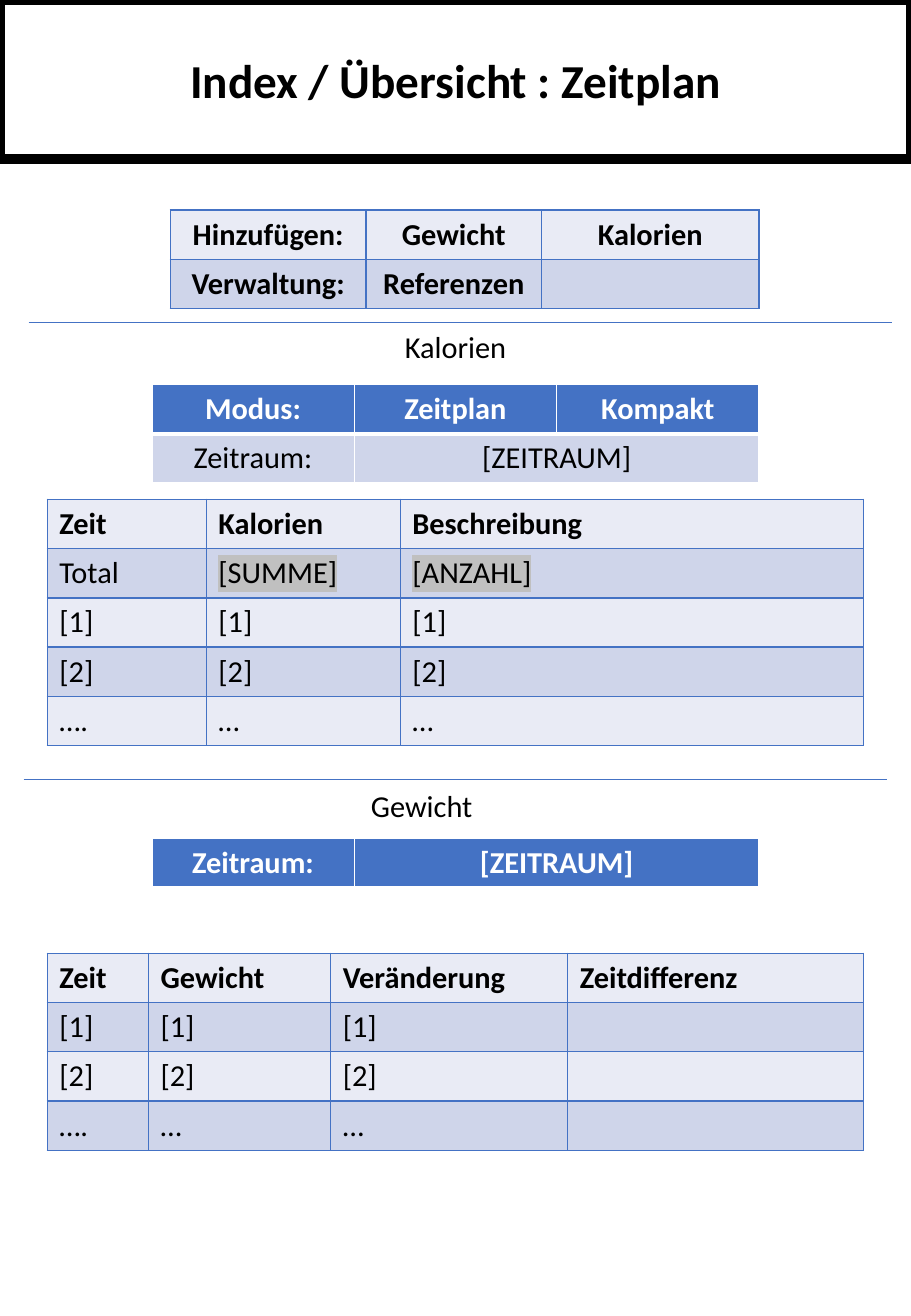
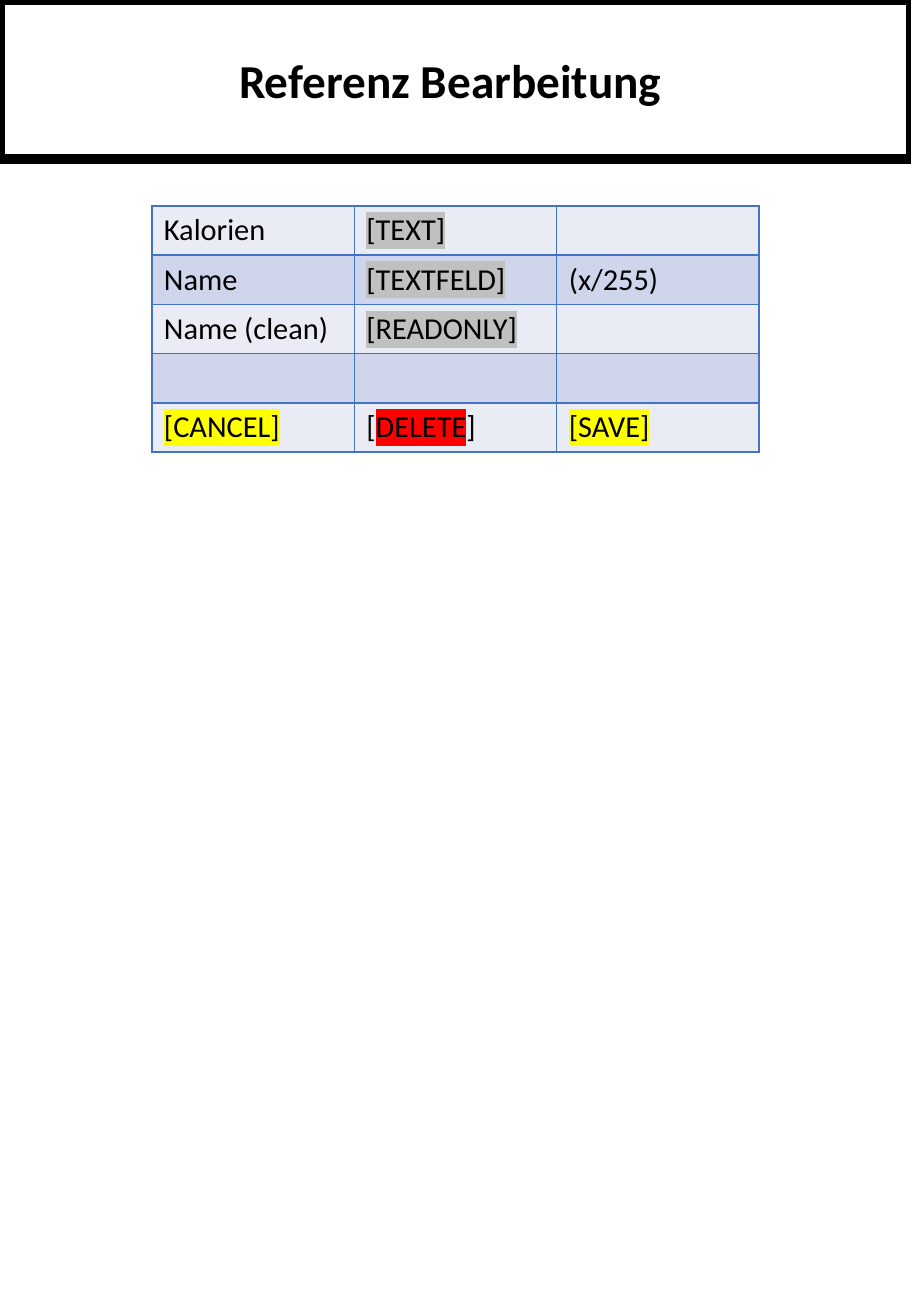
from lxml.etree import SubElement as Sub
from pptx import Presentation as Deck
from pptx.dml.color import RGBColor as RGB
from pptx.enum.shapes import MSO_CONNECTOR as Link, MSO_SHAPE as Shape
from pptx.enum.text import MSO_ANCHOR as Anchor, MSO_AUTO_SIZE as Fit, PP_ALIGN as Align
from pptx.oxml.ns import qn
from pptx.util import Pt

INK = {
    "black": "000000",
    "white": "FFFFFF",
    "blue": "4472C4",
    "light": "E9EBF5",
    "dark": "CFD5EA",
    "grey": "C0C0C0",
    "yellow": "FFFF00",
    "red": "FF0000",
}
WIDE, TALL = 540, 780
ROW = 29.2
THIRD = 120


class Page:
    font = "Calibri"
    size = 18

    def __init__(self, deck):
        self.deck = deck
        self.slide = None

    def start(self, title):
        self.slide = self.deck.slides.add_slide(self.deck.slide_layouts[6])
        band = self.slide.shapes.add_shape(Shape.RECTANGLE, 0, 0, Pt(WIDE), Pt(94.5))
        band.shadow.inherit = False
        band.fill.background()
        band.line.color.rgb = RGB.from_string(INK["black"])
        band.line.width = Pt(6)
        band.text_frame.vertical_anchor = Anchor.MIDDLE
        self.words(band.text_frame, title, True, size=28, bold=True)

    def words(self, frame, text, center, size=size, bold=False, ink="black"):
        para = frame.paragraphs[0]
        para.alignment = Align.CENTER if center else Align.LEFT
        parts = [(text, None)] if isinstance(text, str) else text
        for part, tint in parts:
            run = para.add_run()
            run.text = part
            run.font.size = Pt(size)
            run.font.bold = bold
            run.font.color.rgb = RGB.from_string(INK[ink])
            if tint:
                high = Sub(run._r.get_or_add_rPr(), qn("a:highlight"))
                Sub(high, qn("a:srgbClr"), val=INK[tint])
            run.font.name = self.font

    def label(self, text, left, top):
        box = self.slide.shapes.add_textbox(Pt(left), Pt(top), Pt(360), Pt(29))
        box.text_frame.word_wrap = True
        box.text_frame.auto_size = Fit.SHAPE_TO_FIT_TEXT
        self.words(box.text_frame, text, True)

    def rule(self, left, top):
        line = self.slide.shapes.add_connector(
            Link.STRAIGHT, Pt(left), Pt(top), Pt(left + 512), Pt(top))
        line.line.color.rgb = RGB.from_string(INK["blue"])
        line.line.width = Pt(0.5)
        Sub(line._element.spPr, qn("a:effectLst"))

    def edge(self, cell, ink, widths):
        props = cell._tc.get_or_add_tcPr()
        for side, width in zip("LRTB", widths):
            line = Sub(props, qn("a:ln" + side), w=str(Pt(width)))
            fill = Sub(line, qn("a:solidFill"))
            Sub(fill, qn("a:srgbClr"), val=INK[ink])

    def table(self, left, top, cols, rows, bold=0, center=False, head=False):
        table = self.slide.shapes.add_table(
            len(rows), len(cols), Pt(left), Pt(top),
            Pt(sum(cols)), Pt(ROW * len(rows))).table
        table.first_row = table.horz_banding = False
        for col, width in zip(table.columns, cols):
            col.width = Pt(width)
        for r, texts in enumerate(rows):
            table.rows[r].height = Pt(ROW)
            top_row = head and r == 0
            fill = "blue" if top_row else ("light", "dark")[r % 2]
            over = 3 if head and r == 1 else 1
            under = 3 if top_row else 1
            for c, text in enumerate(texts):
                cell = table.cell(r, c)
                self.edge(cell, "white" if head else "blue", (1, 1, over, under))
                cell.fill.solid()
                cell.fill.fore_color.rgb = RGB.from_string(INK[fill])
                if text:
                    self.words(cell.text_frame, text, center, bold=r < bold,
                               ink="white" if top_row else "black")
        return table


def mark(text, ink="grey"):
    return [(text, ink)]


def plan(page):
    page.start("Index / Übersicht : Zeitplan")
    page.table(28, 296, (94.3, 115, 274.7), [
        ("Zeit", "Kalorien", "Beschreibung"),
        ("Total", mark("[SUMME]"), mark("[ANZAHL]")),
        ("[1]",) * 3,
        ("[2]",) * 3,
        ("….", "…", "…"),
    ], bold=1)
    mode = page.table(90, 228, (THIRD,) * 3, [
        ("Modus:", "Zeitplan", "Kompakt"),
        ("Zeitraum:", "[ZEITRAUM]", ""),
    ], bold=1, center=True, head=True)
    mode.cell(1, 1).merge(mode.cell(1, 2))
    page.table(101, 124.5, (116, 104, 129), [
        ("Hinzufügen:", "Gewicht", "Kalorien"),
        ("Verwaltung:", "Referenzen", ""),
    ], bold=2, center=True)
    page.rule(17, 191)
    page.table(28, 565, (60, 108, 140.5, 175.5), [
        ("Zeit", "Gewicht", "Veränderung", "Zeitdifferenz"),
        ("[1]", "[1]", "[1]", ""),
        ("[2]", "[2]", "[2]", ""),
        ("….", "…", "…", ""),
    ], bold=1)
    page.table(90, 497, (THIRD, 2 * THIRD), [("Zeitraum:", "[ZEITRAUM]")],
               bold=1, center=True, head=True)
    page.label("Kalorien", 90, 191)
    page.label("Gewicht", 70, 463)
    page.rule(14, 462)


def edit(page):
    page.start("Referenz Bearbeitung ")
    page.table(90, 122, (THIRD,) * 3, [
        ("Kalorien", mark("[TEXT]"), ""),
        ("Name", mark("[TEXTFELD]"), "(x/255)"),
        ("Name (clean)", mark("[READONLY]"), ""),
        ("",) * 3,
        (mark("[CANCEL]", "yellow"),
         [("[", None), ("DELETE", "red"), ("]", None)],
         mark("[SAVE]", "yellow")),
    ])


def main():
    deck = Deck()
    deck.slide_width, deck.slide_height = Pt(WIDE), Pt(TALL)
    page = Page(deck)
    plan(page)
    edit(page)
    deck.save("out.pptx")


if __name__ == "__main__":
    main()
